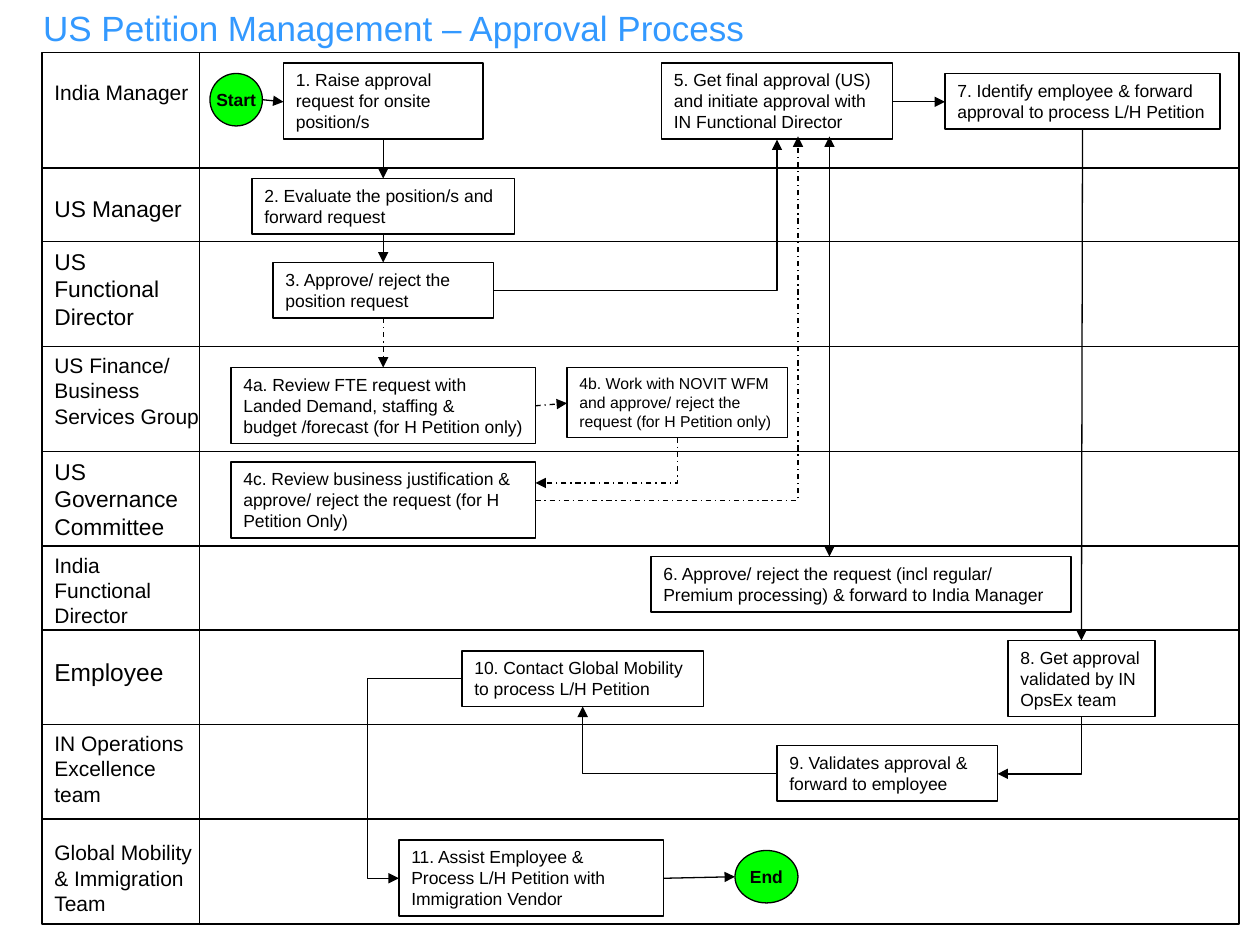
"""Draw the petition approval swimlane chart on a grid of 120 columns by 90 rows."""
import typing

import pptx
import pptx.dml.color
import pptx.enum.dml
import pptx.enum.shapes
import pptx.enum.text
import pptx.oxml.ns
import pptx.util
import lxml.etree

COLS, ROWS = 120, 90
LEFT, RIGHT, SPLIT = 4, 118, 19
EDGES = [5, 16, 23, 33, 43, 52, 60, 69, 78, 88]
BLACK, GREEN, BLUE = "000000", "00FF00", "3399FF"
TWO, THREE = 5.3, 7.25
SHAPE = pptx.enum.shapes.MSO_SHAPE
ANCHOR = pptx.enum.text.MSO_ANCHOR


class Lane(typing.NamedTuple):
    name: str
    row: float
    size: int = 12
    wide: float = 17


class Step(typing.NamedTuple):
    text: str
    col: float
    row: float
    wide: float
    high: float = TWO
    size: int = 10


class Badge(typing.NamedTuple):
    text: str
    col: float
    row: float
    wide: float


class Link(typing.NamedTuple):
    start: tuple[float, float]
    end: tuple[float, float]
    bend: str = ""
    dash: bool = False
    both: bool = False


LANES = [
    Lane("India Manager", 7),
    Lane("US Manager", 18, 13),
    Lane("US Functional Director", 23, 13, 13.2),
    Lane("US Finance/ Business Services Group", 33, 12, 18),
    Lane("US Governance Committee", 43, 13, 15.2),
    Lane("India Functional Director", 52, 12, 14),
    Lane("Employee", 62, 14),
    Lane("IN Operations Excellence team", 69),
    Lane("Global Mobility & Immigration Team", 79.4),
]
STEPS = [
    Step("1. Raise approval request for onsite position/s", 27, 6, 19, THREE),
    Step("2. Evaluate the position/s and forward request", 24, 17, 25),
    Step("3. Approve/ reject the position request", 26, 25, 21),
    Step("4a. Review FTE request with Landed Demand, staffing & budget /forecast "
         "(for H Petition only)", 22, 35, 29, THREE),
    Step("4b. Work with NOVIT WFM and approve/ reject the request "
         "(for H Petition only)", 54, 35, 21, 6.65, 9),
    Step("4c. Review business justification & approve/ reject the request "
         "(for H Petition Only)", 22, 44, 29, THREE),
    Step("5. Get final approval (US) and initiate approval with IN Functional "
         "Director", 63, 6, 22, THREE),
    Step("6. Approve/ reject the request (incl regular/ Premium processing) "
         "& forward to India Manager", 62, 53, 40),
    Step("7. Identify employee & forward approval to process L/H Petition",
         90, 7, 26.2),
    Step("8. Get approval validated by IN OpsEx team", 96, 61, 14, THREE),
    Step("9. Validates approval & forward to employee", 74, 71, 21),
    Step("10. Contact Global Mobility to process L/H Petition", 44, 62, 23),
    Step("11. Assist Employee & Process L/H Petition with Immigration Vendor",
         38, 80, 25.2, THREE),
]
BADGES = [Badge("Start", 20, 7, 5), Badge("End", 70, 81, 6)]
LINKS = [
    Link((25, 9.5), (27, 9.7)),
    Link((36.5, 13.3), (36.5, 17)),
    Link((36.5, 22.3), (36.5, 25)),
    Link((36.5, 30.3), (36.5, 35), dash=True),
    Link((51, 38.65), (54, 38.4), dash=True),
    Link((64.5, 41.7), (51, 46), "down", dash=True),
    Link((51, 47.65), (76, 13), "across", dash=True),
    Link((47, 27.7), (74, 13.3), "across"),
    Link((79, 13), (79, 53), both=True),
    Link((85, 9.7), (90, 9.7)),
    Link((103.1, 12.3), (103, 61)),
    Link((103, 68.3), (95, 73.7), "down"),
    Link((74, 73.7), (55.5, 67.3), "across"),
    Link((44, 64.65), (38, 83.65), "loop"),
    Link((63.2, 83.65), (70, 83.5)),
]


def grid(deck, *cells: float) -> list[int]:
    """Turn alternating columns and rows into lengths on the slide."""
    sides = (deck.slide_width / COLS, deck.slide_height / ROWS)
    return [round(cell * sides[i % 2]) for i, cell in enumerate(cells)]


def tint(code: str):
    """Return the colour of a hex string."""
    return pptx.dml.color.RGBColor.from_string(code)


def write(shape, text: str, *, size=10, hue=BLACK, bold=False, mid=False, wrap=True):
    """Put formatted text in a shape."""
    frame = shape.text_frame
    frame.text = text
    frame.word_wrap = wrap
    frame.auto_size = pptx.enum.text.MSO_AUTO_SIZE.NONE
    frame.vertical_anchor = ANCHOR.MIDDLE if mid else ANCHOR.TOP
    frame.margin_left = frame.margin_right = pptx.util.Inches(0.1)
    frame.margin_top = frame.margin_bottom = pptx.util.Inches(0.05)
    line = frame.paragraphs[0]
    align = pptx.enum.text.PP_ALIGN
    line.alignment = align.CENTER if mid else align.LEFT
    line.line_spacing = 1.0
    line.space_before = pptx.util.Pt(0)
    font = line.runs[0].font
    font.name, font.size, font.bold = "Arial", pptx.util.Pt(size), bold
    font.color.rgb = tint(hue)


def ink(shape):
    """Give a shape or line its thin black stroke."""
    shape.line.color.rgb = tint(BLACK)
    shape.line.width = pptx.util.Pt(0.75)


def block(deck, slide, kind, place: tuple, fill: str = ""):
    """Add an outlined shape at a place on the grid."""
    shape = slide.shapes.add_shape(kind, *grid(deck, *place))
    shape.shadow.inherit = False
    if fill:
        shape.fill.solid()
        shape.fill.fore_color.rgb = tint(fill)
    else:
        shape.fill.background()
    ink(shape)
    return shape


def join(deck, slide, link: Link, heads: bool = True):
    """Draw a straight or bent line between two points."""
    (x1, y1), (x2, y2) = link.start, link.end
    if link.bend == "down":
        x, y = (x1 + x2) / 2, (y1 + y2) / 2
        wide, high = abs(y2 - y1) / 2, abs(x2 - x1) / 2
        x1, y1, x2, y2 = x - wide, y - high, x + wide, y + high
    kinds = pptx.enum.shapes.MSO_CONNECTOR
    kind = kinds.ELBOW if link.bend else kinds.STRAIGHT
    line = slide.shapes.add_connector(kind, *grid(deck, x1, y1, x2, y2))
    ink(line)
    if link.dash:
        line.line.dash_style = pptx.enum.dml.MSO_LINE.DASH_DOT
    name = pptx.oxml.ns.qn
    props = line._element.spPr
    shape = props.find(name("a:prstGeom"))
    if link.bend == "down":
        props.find(name("a:xfrm")).set("rot", "5400000")
    if link.bend in ("down", "across"):
        shape.set("prst", "bentConnector2")
    elif link.bend == "loop":
        guides = shape.find(name("a:avLst"))
        lxml.etree.SubElement(guides, name("a:gd"), name="adj1", fmla="val 150000")
    stroke = props.find(name("a:ln"))
    ends = (["a:headEnd"] if link.both else []) + (["a:tailEnd"] if heads else [])
    for end in ends:
        lxml.etree.SubElement(stroke, name(end), type="triangle")
    lxml.etree.SubElement(props, name("a:effectLst"))


def main():
    """Build and save the slide."""
    deck = pptx.Presentation()
    deck.slide_width, deck.slide_height = pptx.util.Inches(10), pptx.util.Inches(7.5)
    slide = deck.slides.add_slide(deck.slide_layouts[5])
    title = slide.shapes.title
    title.left, title.top, title.width, title.height = grid(deck, 2.9, 0, 70.3, 5.3)
    write(title, "US Petition Management – Approval Process", size=20, hue=BLUE, wrap=False)
    top, base = EDGES[0], EDGES[-1]
    block(deck, slide, SHAPE.RECTANGLE, (LEFT, top, RIGHT - LEFT, base - top))
    join(deck, slide, Link((SPLIT, top), (SPLIT, base)), heads=False)
    for row in EDGES[1:-1]:
        join(deck, slide, Link((LEFT, row), (RIGHT, row)), heads=False)
    for lane in LANES:
        place = grid(deck, LEFT, lane.row, lane.wide, THREE)
        write(slide.shapes.add_textbox(*place), lane.name, size=lane.size)
    for step in STEPS:
        box = block(deck, slide, SHAPE.RECTANGLE, step[1:5])
        write(box, step.text, size=step.size)
    for badge in BADGES:
        disc = block(deck, slide, SHAPE.OVAL, (*badge[1:], 5), GREEN)
        write(disc, badge.text, bold=True, mid=True, wrap=False)
    for link in LINKS:
        join(deck, slide, link)
    deck.save("out.pptx")


if __name__ == "__main__":
    main()
